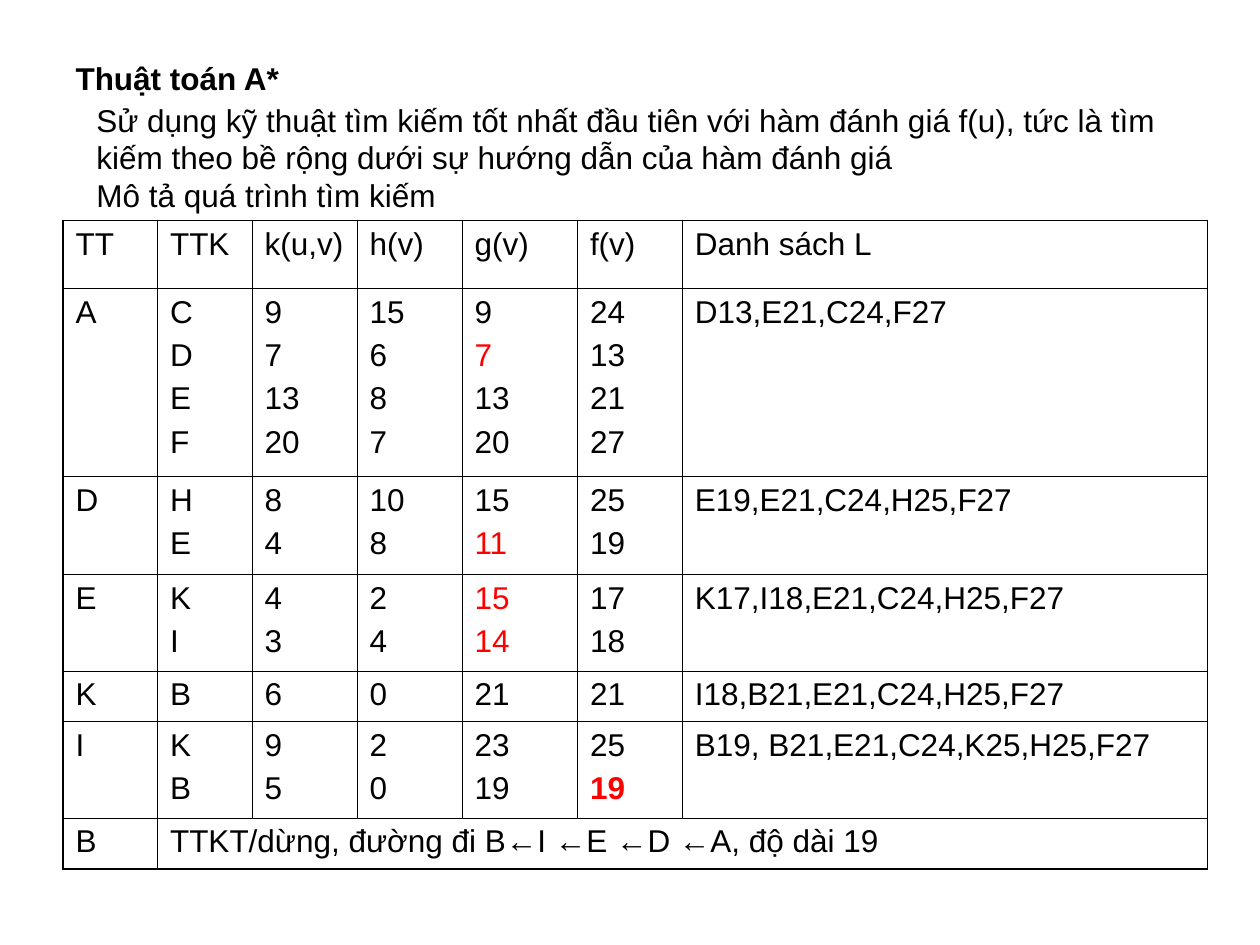
from dataclasses import dataclass

from lxml.etree import SubElement
from pptx import Presentation
from pptx.dml.color import RGBColor
from pptx.enum.text import MSO_ANCHOR, MSO_AUTO_SIZE, PP_ALIGN
from pptx.oxml.ns import qn
from pptx.util import Pt


@dataclass(frozen=True)
class Theme:
    font: str = "Arial"
    size: float = 18
    ink: RGBColor = RGBColor(0, 0, 0)
    accent: RGBColor = RGBColor(255, 0, 0)
    line_gap: float = 4.5
    inner_border: float = 0.45
    outer_border: float = 1.08


THEME = Theme()

COLUMN_WIDTHS = [54, 54, 60, 60, 66, 60, 300]
ROW_HEIGHTS = [39, 107.5, 56, 55, 29, 55, 29]
SEARCH_STEPS = [
    ["TT", "TTK", "k(u,v)", "h(v)", "g(v)", "f(v)", "Danh sách L"],
    ["A", "C|D|E|F", "9|7|13|20", "15|6|8|7", "9|7|13|20", "24|13|21|27",
     "D13,E21,C24,F27"],
    ["D", "H|E", "8|4", "10|8", "15|11", "25|19", "E19,E21,C24,H25,F27"],
    ["E", "K|I", "4|3", "2|4", "15|14", "17|18", "K17,I18,E21,C24,H25,F27"],
    ["K", "B", "6", "0", "21", "21", "I18,B21,E21,C24,H25,F27"],
    ["I", "K|B", "9|5", "2|0", "23|19", "25|19", "B19, B21,E21,C24,K25,H25,F27"],
    ["B", "TTKT/dừng, đường đi B←I ←E ←D ←A, độ dài 19"],
]
RED_VALUES = {(1, 4, 1), (2, 4, 1), (3, 4, 0), (3, 4, 1)}
FINAL_COST = (5, 5, 1)


def write_text(paragraph, text, bold=False, color=THEME.ink, space_before=0):
    paragraph.alignment = PP_ALIGN.LEFT
    paragraph.space_before = Pt(space_before)
    run = paragraph.add_run()
    run.text = text
    run.font.name = THEME.font
    run.font.size = Pt(THEME.size)
    run.font.bold = bold
    run.font.color.rgb = color


def add_title(slide, text, left, top, width, height):
    title = slide.shapes.title
    title.left, title.top = Pt(left), Pt(top)
    title.width, title.height = Pt(width), Pt(height)
    frame = title.text_frame
    frame.word_wrap = True
    frame.auto_size = MSO_AUTO_SIZE.NONE
    frame.vertical_anchor = MSO_ANCHOR.TOP
    write_text(frame.paragraphs[0], text, bold=True)


def add_note(slide, text, left, top, width, height):
    note = slide.shapes.add_textbox(Pt(left), Pt(top), Pt(width), Pt(height))
    note.text_frame.word_wrap = True
    note.text_frame.auto_size = MSO_AUTO_SIZE.SHAPE_TO_FIT_TEXT
    write_text(note.text_frame.paragraphs[0], text)


def set_borders(cell, outer_sides):
    properties = cell._tc.get_or_add_tcPr()
    for position, side in enumerate("LRTB"):
        width = THEME.outer_border if side in outer_sides else THEME.inner_border
        border = SubElement(properties, qn(f"a:ln{side}"), w=str(Pt(width)))
        fill = SubElement(border, qn("a:solidFill"))
        SubElement(fill, qn("a:srgbClr"), val=str(THEME.ink))
        properties.insert(position, border)


def fill_cell(cell, text, row, column):
    for index, line in enumerate(text.split("|")):
        frame = cell.text_frame
        paragraph = frame.add_paragraph() if index else frame.paragraphs[0]
        value = (row, column, index)
        is_red = value in RED_VALUES or value == FINAL_COST
        write_text(paragraph, line, bold=value == FINAL_COST,
                   color=THEME.accent if is_red else THEME.ink,
                   space_before=THEME.line_gap if index else 0)


def add_search_table(slide, left, top):
    last_row, last_column = len(ROW_HEIGHTS) - 1, len(COLUMN_WIDTHS) - 1
    table = slide.shapes.add_table(
        last_row + 1, last_column + 1, Pt(left), Pt(top),
        Pt(sum(COLUMN_WIDTHS)), Pt(sum(ROW_HEIGHTS))).table
    table.first_row = table.horz_banding = False
    for column, width in zip(table.columns, COLUMN_WIDTHS):
        column.width = Pt(width)
    for row, height in zip(table.rows, ROW_HEIGHTS):
        row.height = Pt(height)
    table.cell(last_row, 1).merge(table.cell(last_row, last_column))

    for row, step in enumerate(SEARCH_STEPS):
        for column in range(last_column + 1):
            cell = table.cell(row, column)
            cell.fill.background()
            right = column + (cell.span_width if cell.is_merge_origin else 1) - 1
            edges = {"L": column == 0, "R": right == last_column,
                     "T": row == 0, "B": row == last_row}
            set_borders(cell, [side for side, is_outer in edges.items() if is_outer])
            if column < len(step):
                fill_cell(cell, step[column], row, column)


def main():
    presentation = Presentation()
    presentation.slide_width, presentation.slide_height = Pt(720), Pt(540)
    slide = presentation.slides.add_slide(presentation.slide_layouts[5])
    add_title(slide, "Thuật toán A*", 36, 30, 330, 29)
    add_note(slide, "Sử dụng kỹ thuật tìm kiếm tốt nhất đầu tiên với hàm đánh giá f(u), "
             "tức là tìm kiếm theo bề rộng dưới sự hướng dẫn của hàm đánh giá",
             48, 54, 648, 50)
    add_note(slide, "Mô tả quá trình tìm kiếm", 48, 97, 312, 29)
    add_search_table(slide, 36, 126)
    presentation.save("out.pptx")


if __name__ == "__main__":
    main()
